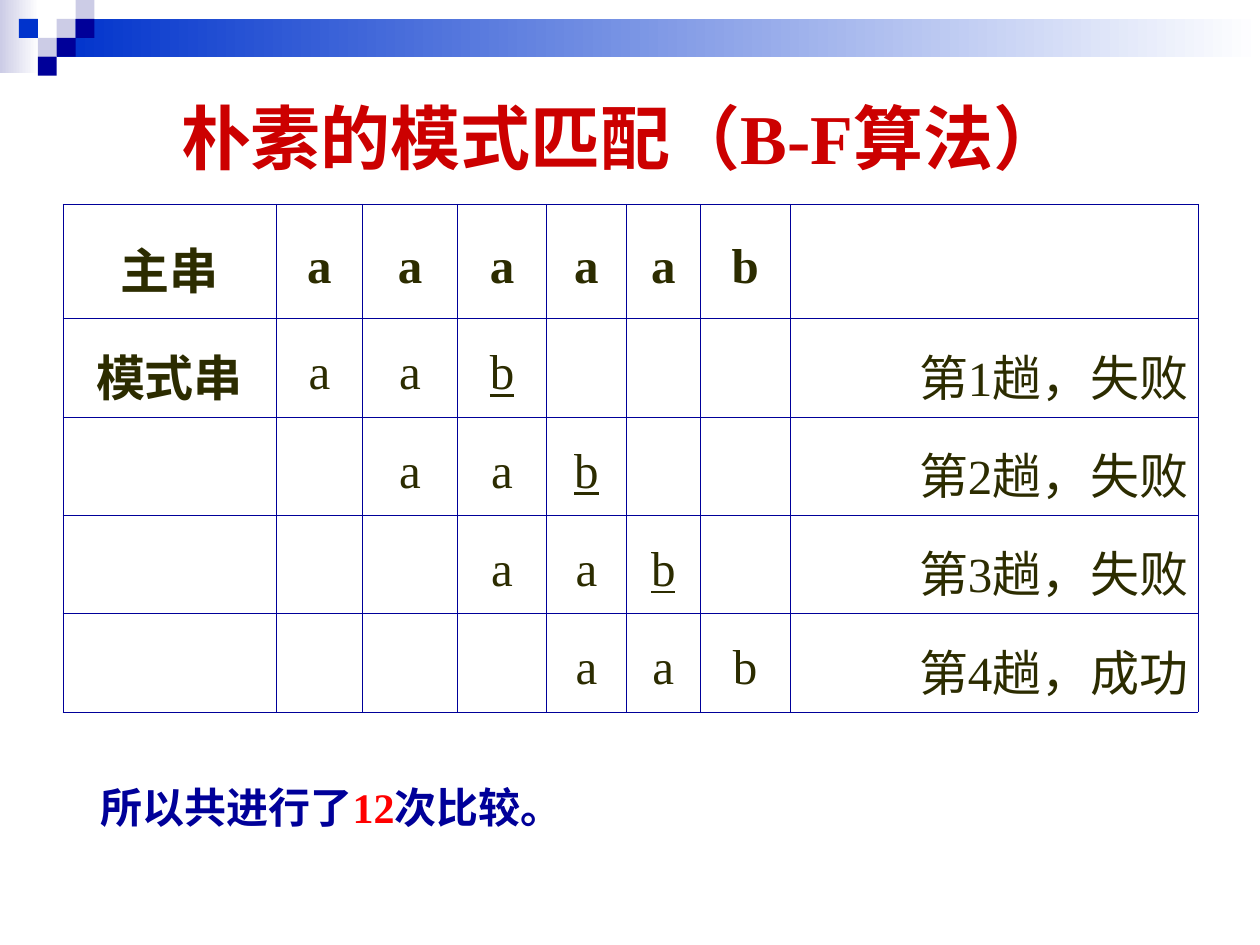
from lxml.etree import SubElement
from pptx import Presentation
from pptx.dml.color import RGBColor
from pptx.enum.shapes import MSO_SHAPE
from pptx.enum.text import MSO_ANCHOR, MSO_AUTO_SIZE, PP_ALIGN
from pptx.oxml import parse_xml
from pptx.oxml.ns import nsdecls, qn
from pptx.util import Inches, Pt

NAVY, BLUE, LAVENDER, WHITE = "000099", "0033CC", "CCCCE6", "FFFFFF"
OLIVE, CRIMSON, RED = "2C2C00", "CC0000", "FF0000"
FONT = "Times New Roman"
MAIN_STRING, PATTERN = "aaaaab", "aab"
RESULTS = ["第1趟，失败", "第2趟，失败", "第3趟，失败", "第4趟，成功"]
COLUMN_WIDTHS = [1.69, 0.69, 0.75, 0.71, 0.63, 0.59, 0.71, 3.24]
ROW_HEIGHTS = [0.91] + [0.78] * len(RESULTS)
TILE = 0.15
TILES = [(3, 1, LAVENDER), (4, 0, LAVENDER), (4, 1, NAVY), (2, 2, LAVENDER),
         (1, 1, BLUE), (3, 2, NAVY), (2, 3, NAVY)]


def color(value):
    """Turn a hex string into a colour."""
    return RGBColor.from_string(value)


def apply_format(target, values):
    """Set every attribute named in a dict."""
    for name, value in values.items():
        setattr(target, name, value)


def add_run(paragraph, text, hex_color, **values):
    """Append a run in the slide font."""
    run = paragraph.add_run()
    run.text = text
    apply_format(run.font, {"name": FONT, **values})
    run.font.color.rgb = color(hex_color)


def add_rectangle(slide, left, top, width, height, colors):
    """Draw a borderless rectangle with a solid or two-colour fill."""
    shape = slide.shapes.add_shape(MSO_SHAPE.RECTANGLE, Inches(left), Inches(top),
                                   Inches(width), Inches(height))
    shape.shadow.inherit = False
    shape.line.fill.background()
    if len(colors) == 1:
        shape.fill.solid()
        shape.fill.fore_color.rgb = color(colors[0])
        return
    shape.fill.gradient()
    shape.fill.gradient_angle = 0
    for stop, value in zip(shape.fill.gradient_stops, colors):
        stop.color.rgb = color(value)


def add_banner(slide, left, top, width):
    """Draw the fading bars and the mosaic of tiles."""
    add_rectangle(slide, left, top, 0.31, 0.58, [LAVENDER, WHITE])
    add_rectangle(slide, left + 3 * TILE, top + TILE, width - 3 * TILE, 2 * TILE,
                  [BLUE, WHITE])
    for column, row, value in TILES:
        add_rectangle(slide, left + column * TILE, top + row * TILE, TILE, TILE, [value])


def add_text(slide, left, top, width, height, runs, size, frame_format, alignment):
    """Place one paragraph of bold runs in a text box."""
    box = slide.shapes.add_textbox(Inches(left), Inches(top), Inches(width), Inches(height))
    apply_format(box.text_frame, frame_format)
    paragraph = box.text_frame.paragraphs[0]
    paragraph.alignment = alignment
    for text, value in runs:
        add_run(paragraph, text, value, size=Pt(size), bold=True)


def format_cell(cell):
    """Clear the fill of a cell and draw its four borders."""
    apply_format(cell, {"vertical_anchor": MSO_ANCHOR.MIDDLE,
                        "margin_left": Inches(0.08), "margin_right": Inches(0.08),
                        "margin_top": Inches(0.05), "margin_bottom": Inches(0.05)})
    cell.fill.background()
    properties = cell._tc.get_or_add_tcPr()
    for index, side in enumerate(["lnL", "lnR", "lnT", "lnB"]):
        border = parse_xml(f'<a:{side} {nsdecls("a")} w="{Pt(0.45)}"/>')
        fill = SubElement(border, qn("a:solidFill"))
        SubElement(fill, qn("a:srgbClr"), val=NAVY)
        properties.insert(index, border)


def write_cell(cell, text, alignment=PP_ALIGN.CENTER, **values):
    """Write one aligned line of text in a cell."""
    paragraph = cell.text_frame.paragraphs[0]
    apply_format(paragraph, {"alignment": alignment, "line_spacing": 1.2})
    add_run(paragraph, text, OLIVE, size=Pt(28), **values)


def add_matching_table(slide, left, top):
    """Build the table that shifts the pattern along the main string."""
    frame = slide.shapes.add_table(len(ROW_HEIGHTS), len(COLUMN_WIDTHS), Inches(left),
                                   Inches(top), Inches(sum(COLUMN_WIDTHS)),
                                   Inches(sum(ROW_HEIGHTS)))
    table = frame.table
    apply_format(table, {"first_row": False, "horz_banding": False})
    for column, width in zip(table.columns, COLUMN_WIDTHS):
        column.width = Inches(width)
    for row, height in zip(table.rows, ROW_HEIGHTS):
        row.height = Inches(height)
    for cell in table.iter_cells():
        format_cell(cell)
    for column, text in enumerate(["主串", *MAIN_STRING]):
        write_cell(table.cell(0, column), text, bold=True)
    write_cell(table.cell(1, 0), "模式串", bold=True)
    for row, result in enumerate(RESULTS, 1):
        for column, letter in enumerate(PATTERN, row):
            mismatch = letter != MAIN_STRING[column - 1]
            write_cell(table.cell(row, column), letter, bold=False, underline=mismatch)
        write_cell(table.cell(row, len(COLUMN_WIDTHS) - 1), result, PP_ALIGN.RIGHT,
                   bold=False)


def main():
    """Assemble and save the slide."""
    presentation = Presentation()
    apply_format(presentation, {"slide_width": Inches(10), "slide_height": Inches(7.5)})
    slide = presentation.slides.add_slide(presentation.slide_layouts[6])
    add_banner(slide, 0, 0, 10)
    add_text(slide, 0.5, 0.5, 9, 1.16, [("朴素的模式匹配（B-F算法） ", CRIMSON)], 40,
             {"word_wrap": True, "vertical_anchor": MSO_ANCHOR.MIDDLE}, PP_ALIGN.CENTER)
    add_matching_table(slide, 0.5, 1.62)
    add_text(slide, 0.7, 6.15, 4.02, 0.5,
             [("所以共进行了", NAVY), ("12", RED), ("次比较。", NAVY)], 24,
             {"word_wrap": False, "auto_size": MSO_AUTO_SIZE.SHAPE_TO_FIT_TEXT},
             PP_ALIGN.LEFT)
    presentation.save("out.pptx")


if __name__ == "__main__":
    main()
